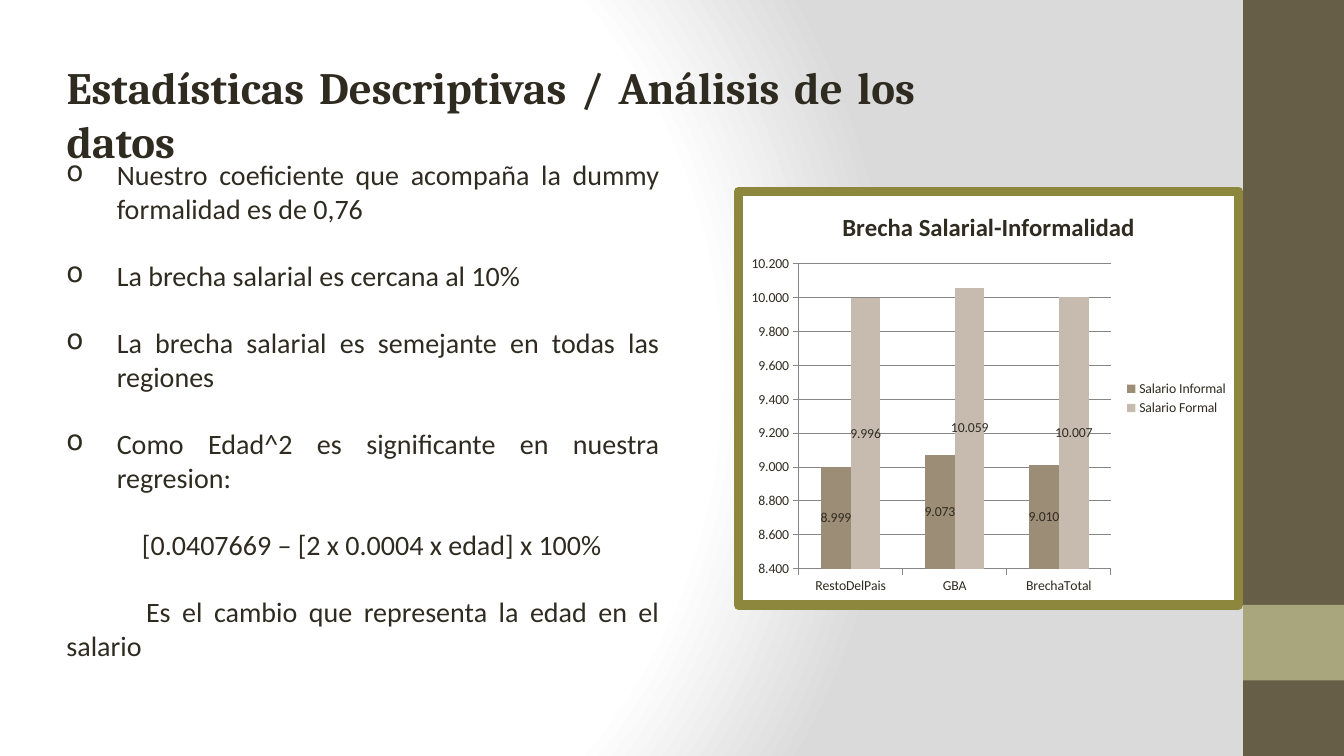
from lxml import etree
from pptx import Presentation
from pptx.chart.data import CategoryChartData
from pptx.dml.color import RGBColor
from pptx.enum.chart import XL_CHART_TYPE, XL_LABEL_POSITION, XL_LEGEND_POSITION, XL_TICK_MARK
from pptx.enum.shapes import MSO_SHAPE
from pptx.enum.text import MSO_ANCHOR, PP_ALIGN
from pptx.oxml import parse_xml
from pptx.util import Inches, Pt

RECT = MSO_SHAPE.RECTANGLE
COLUMN = XL_CHART_TYPE.COLUMN_CLUSTERED
CENTER = XL_LABEL_POSITION.CENTER
RIGHT = XL_LEGEND_POSITION.RIGHT
OUT = XL_TICK_MARK.OUTSIDE
TOP = MSO_ANCHOR.TOP
JUSTIFY = PP_ALIGN.JUSTIFY
DRAW = "http://schemas.openxmlformats.org/drawingml/2006/main"
CHART = "http://schemas.openxmlformats.org/drawingml/2006/chart"
INK, GRID = "2F2B20", "868686"
FORMAT = "#,##0.000"


def color(code):
    """Turn a hex string into a colour."""
    return RGBColor.from_string(code)


def apply(thing, values):
    """Set each attribute of thing from a dict of values."""
    for name, value in values.items():
        setattr(thing, name, value)


deck = Presentation()
apply(deck, {"slide_width": Inches(13.33), "slide_height": Inches(7.5)})
wide, high = deck.slide_width, deck.slide_height
slide = deck.slides.add_slide(deck.slide_layouts[5])
shapes = slide.shapes
left = int(wide * 0.042)

# Background
slide.background.fill.gradient()
old = slide.background._cSld.find(f".//{{{DRAW}}}gradFill")
stops = "".join(
    f'<a:gs pos="{share * 1000}"><a:srgbClr val="{code}"/></a:gs>'
    for share, code in ((0, "FFFFFF"), (75, "FFFFFF"), (100, "DADADA")))
old.getparent().replace(old, parse_xml(
    f'<a:gradFill xmlns:a="{DRAW}" rotWithShape="1"><a:gsLst>{stops}</a:gsLst>'
    '<a:path path="circle"><a:fillToRect l="20000" t="50000" r="100000" b="50000"/>'
    '</a:path></a:gradFill>'))

# Side bands
band = Inches(1)
for top, tall, code in ((0, 1, "675E47"), (0.8, 0.1, "A9A57C")):
    side = shapes.add_shape(RECT, wide - band, int(high * top), band, int(high * tall))
    side.shadow.inherit = False
    side.fill.solid()
    side.fill.fore_color.rgb = color(code)
    side.line.fill.background()

# Title
title = shapes.title
apply(title, {"left": left, "top": int(high * 0.072),
              "width": int(wide * 0.647), "height": int(high * 0.085)})
title.text_frame.text = "Estadísticas Descriptivas / Análisis de los datos"
apply(title.text_frame, {"word_wrap": True, "vertical_anchor": TOP})
line = title.text_frame.paragraphs[0]
line.alignment = JUSTIFY
apply(line.font, {"name": "Cambria", "size": Pt(32), "bold": True})
line.font.color.rgb = color(INK)

# Findings: text, left margin, first-line indent, bullet
POINT = (0.5, -0.5, True)
notes = (
    ("Nuestro coeficiente que acompaña la dummy formalidad es de 0,76", *POINT),
    ("La brecha salarial es cercana al 10%", *POINT),
    ("La brecha salarial es semejante en todas las regiones", *POINT),
    ("Como Edad^2 es significante en nuestra regresion:", *POINT),
    ("[0.0407669 – [2 x 0.0004 x edad] x 100%", 0, 0.75, False),
    ("Es el cambio que representa la edad en el salario", 0, 0.79, False),
)
body = shapes.add_textbox(left, int(high * 0.202), int(wide * 0.456), int(high * 0.68))
frame = body.text_frame
frame.word_wrap = True
for spot, (text, margin, indent, mark) in enumerate(notes):
    line = frame.add_paragraph() if spot else frame.paragraphs[0]
    line.text = text
    apply(line, {"alignment": JUSTIFY, "space_before": Pt(24 if spot else 0)})
    apply(line.font, {"name": "Calibri", "size": Pt(20)})
    line.font.color.rgb = color(INK)
    props = line._p.get_or_add_pPr()
    props.set("marL", str(Inches(margin)))
    props.set("indent", str(Inches(indent)))
    if mark:
        dot = etree.Element(f"{{{DRAW}}}buChar", char="o")
        props.insert_element_before(dot, "a:tabLst", "a:defRPr", "a:extLst")

# Wage gap chart
data = CategoryChartData(number_format=FORMAT)
data.categories = ["RestoDelPais", "GBA", "BrechaTotal"]
data.add_series("Salario Informal", (8.999, 9.073, 9.01))
data.add_series("Salario Formal", (9.996, 10.059, 10.007))
chart = shapes.add_chart(COLUMN, int(wide * 0.546), int(high * 0.247),
                         int(wide * 0.379), int(high * 0.56), data).chart
apply(chart.font, {"name": "Calibri", "size": Pt(10)})
chart.font.color.rgb = color(INK)
apply(chart, {"has_title": True, "has_legend": True})
apply(chart.legend, {"position": RIGHT, "include_in_layout": False})
head = chart.chart_title.text_frame
head.text = "Brecha Salarial-Informalidad"
font = head.paragraphs[0].runs[0].font
apply(font, {"name": "Calibri", "size": Pt(18), "bold": True})
font.color.rgb = color(INK)

scale = chart.value_axis
apply(scale, {"minimum_scale": 8.4, "maximum_scale": 10.2, "major_unit": 0.2,
              "has_major_gridlines": True})
apply(scale.tick_labels, {"number_format": FORMAT, "number_format_is_linked": False})
for axis in (scale, chart.category_axis):
    axis.major_tick_mark = OUT
for part in (scale, chart.category_axis, scale.major_gridlines):
    part.format.line.color.rgb = color(GRID)
    part.format.line.width = Pt(0.75)

plot = chart.plots[0]
apply(plot, {"gap_width": 150, "overlap": 0, "vary_by_categories": False})
for bars, code in zip(plot.series, ("9C8D77", "C7BBB0")):
    bars.format.fill.solid()
    bars.format.fill.fore_color.rgb = color(code)
    apply(bars.data_labels, {"show_value": True, "position": CENTER,
                             "number_format": FORMAT, "number_format_is_linked": False})

# Plot area and chart border
area = chart._chartSpace.chart.plotArea
for old in area.findall(f"{{{CHART}}}layout"):
    area.remove(old)
places = {"layoutTarget": "inner", "xMode": "edge", "yMode": "edge",
          "x": 0.12, "y": 0.175, "w": 0.625, "h": 0.737}
rules = "".join(f'<c:{name} val="{value}"/>' for name, value in places.items())
area.insert(0, parse_xml(
    f'<c:layout xmlns:c="{CHART}"><c:manualLayout>{rules}</c:manualLayout></c:layout>'))
chart._chartSpace.chart.addnext(parse_xml(
    f'<c:spPr xmlns:c="{CHART}" xmlns:a="{DRAW}">'
    '<a:solidFill><a:srgbClr val="FFFFFF"/></a:solidFill>'
    f'<a:ln w="{Pt(7)}"><a:solidFill><a:srgbClr val="8D873E"/></a:solidFill>'
    '<a:round/></a:ln></c:spPr>'))

deck.save("out.pptx")
